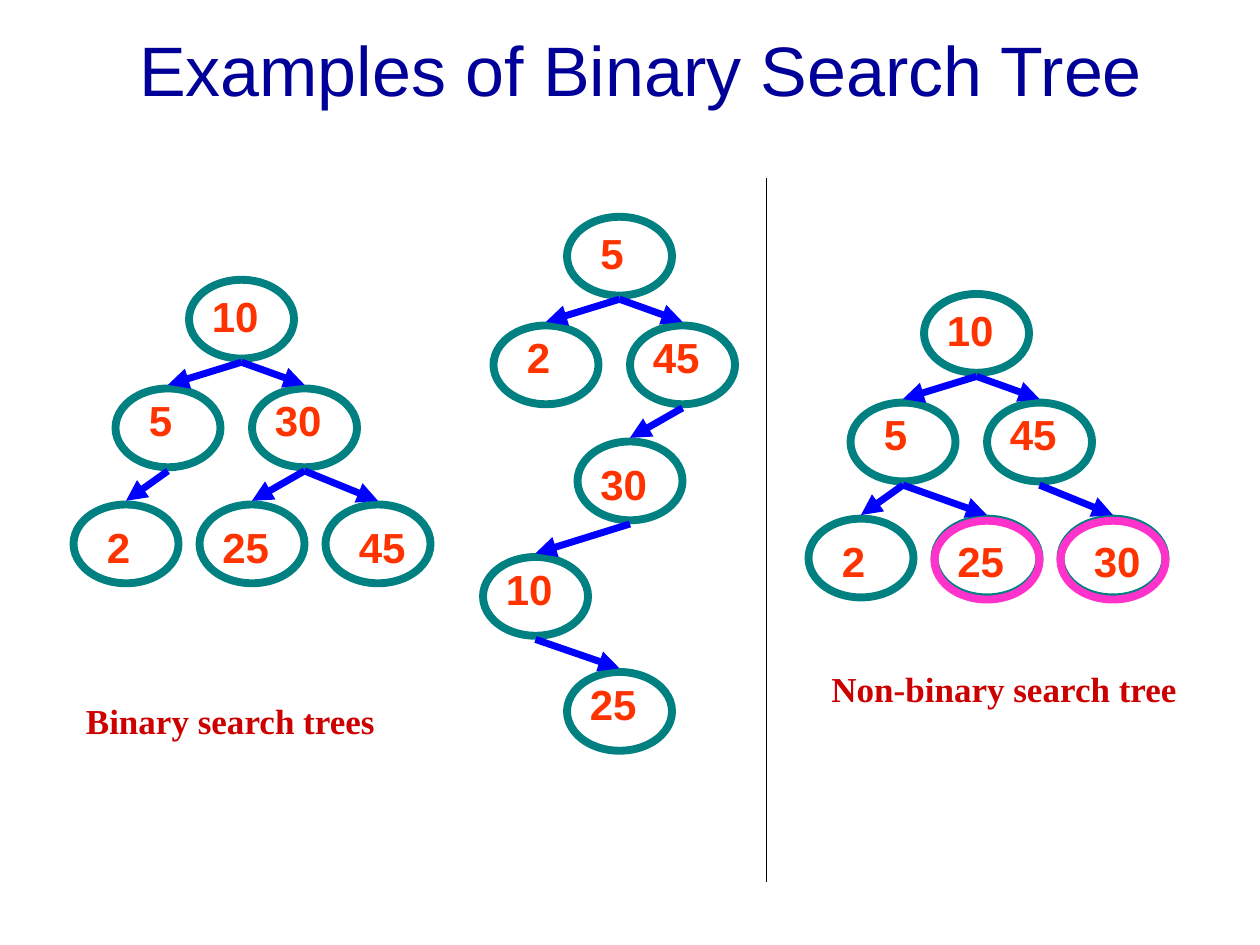
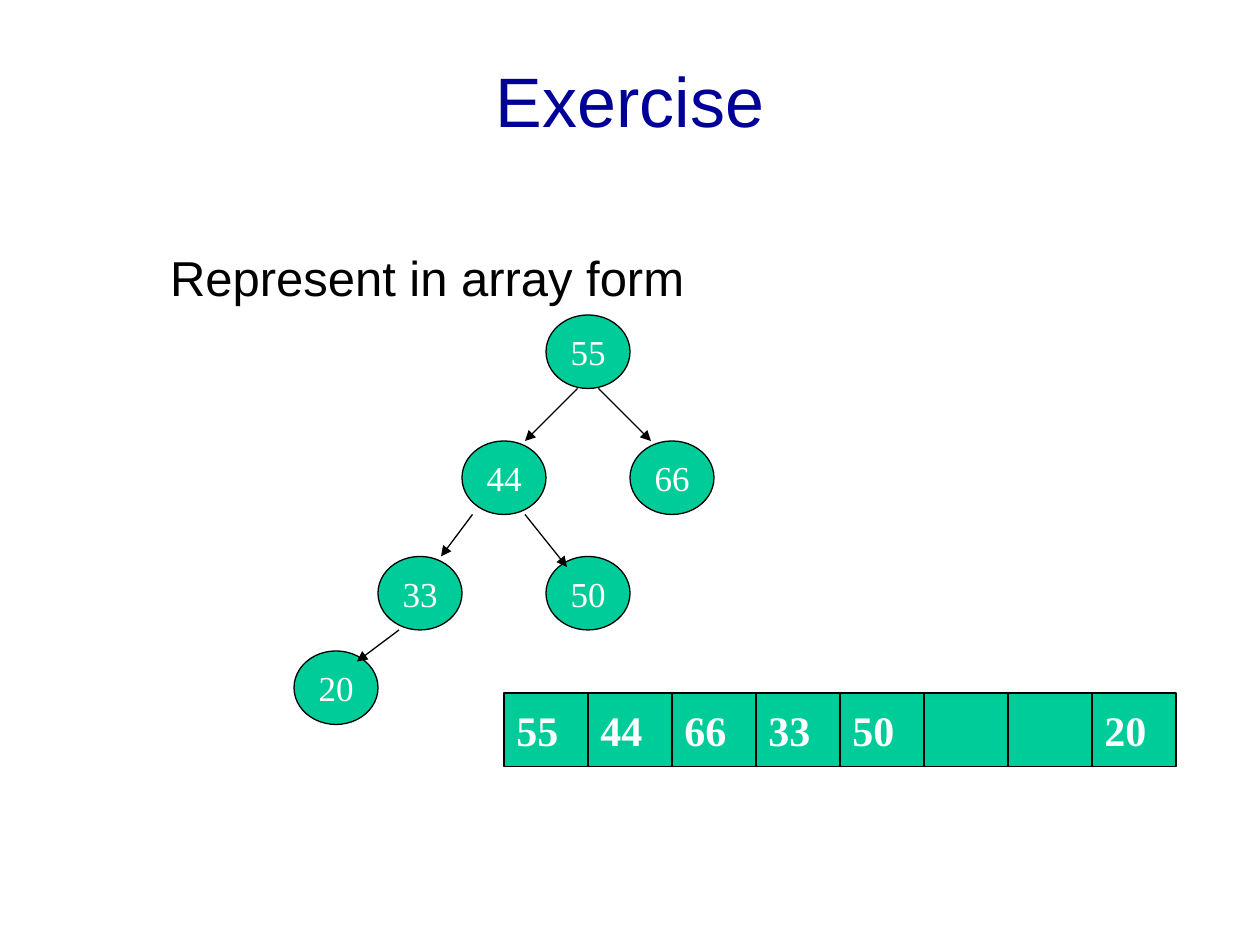
"""Build two slides on binary search trees, laid out on a grid of twelfths of an inch."""
from lxml import etree
from pptx import Presentation
from pptx.dml.color import RGBColor
from pptx.enum.shapes import MSO_CONNECTOR, MSO_SHAPE
from pptx.enum.text import MSO_ANCHOR, PP_ALIGN
from pptx.oxml.ns import qn
from pptx.util import Inches, Pt

OVAL, RECTANGLE = MSO_SHAPE.OVAL, MSO_SHAPE.RECTANGLE
STRAIGHT = MSO_CONNECTOR.STRAIGHT
MIDDLE, TOP = MSO_ANCHOR.MIDDLE, MSO_ANCHOR.TOP
LEFT, CENTER = PP_ALIGN.LEFT, PP_ALIGN.CENTER
CONTENT_LAYOUT, TITLE_LAYOUT = 1, 5

SANS, SERIF = "Arial", "Times New Roman"
NAVY, BLACK, WHITE = "000099", "000000", "FFFFFF"
TEAL, PINK, BLUE = "008080", "FF33CC", "0000FF"
ORANGE, RED, GREEN = "FF3300", "CC0000", "00CC99"

# Example nodes: value, column, level, parent index, label shift
EXAMPLE_TREES = [
    {"left": 0, "top": 26.65, "misplaced": [], "nodes": [
        ("10", 18, 0, None, 1), ("5", 11, 1, 0, 2), ("30", 24, 1, 0, 1),
        ("2", 7, 2, 1, 2), ("25", 19, 2, 2, 1), ("45", 31, 2, 2, 2)]},
    {"left": 70, "top": 28, "misplaced": ["25", "30"], "nodes": [
        ("10", 18, 0, None, 1), ("5", 11, 1, 0, 2), ("45", 24, 1, 0, 1),
        ("2", 7, 2, 1, 2), ("25", 19, 2, 1, 1), ("30", 31, 2, 2, 2)]},
    {"left": 36, "top": 20.65, "misplaced": [], "nodes": [
        ("5", 18, 0, None, 2), ("2", 11, 1, 0, 2), ("45", 24, 1, 0, 1),
        ("30", 19, 2, 2, 1), ("10", 10, 3, 3, 1), ("25", 18, 4, 4, 1)]},
]
LEVEL_TOPS = [0, 10.35, 21.4, 32.4, 43.35]
LABEL_DROPS = [0.4, 0, 1, 0, 0]
NODE_WIDTH, NODE_HEIGHT, ARROW_GAP = 10, 7.5, 0.35
CAPTIONS = [("Binary search trees", (7, 66, 40, 5.3)),
            ("Non-binary search tree", (78, 63, 37, 5.3))]

# Exercise nodes: value, left, top, parent index, arrow start shift, arrow overlap
EXERCISE_NODES = [
    ("55", 52, 30, None, 0, 0), ("44", 44, 42, 0, -1, 0), ("66", 60, 42, 0, 1, 0),
    ("33", 36, 53, 1, -3, 0), ("50", 52, 53, 1, 2, 1), ("20", 28, 62, 3, -2, 1)]
ARRAY = ["55", "44", "66", "33", "50", "", "", "20"]
ARRAY_LEFT, ARRAY_TOP = 48, 66
CELL_WIDTH, CELL_HEIGHT = 8, 7


def color(value):
    return RGBColor.from_string(value)


def grid(*lengths):
    return [Inches(length / 12) for length in lengths]


def write(box, text, size, ink, font=SANS, bold=False, align=LEFT, anchor=TOP, wrap=True):
    frame = box.text_frame
    frame.word_wrap, frame.vertical_anchor = wrap, anchor
    para = frame.paragraphs[0]
    para.text, para.alignment, para.space_before = text, align, Pt(0)
    para.font.name, para.font.size, para.font.bold = font, Pt(size), bold
    para.font.color.rgb = color(ink)
    return para


def place(box, area):
    box.left, box.top, box.width, box.height = grid(*area)


def add_page(deck, layout, title, area):
    page = deck.slides.add_slide(deck.slide_layouts[layout])
    place(page.shapes.title, area)
    write(page.shapes.title, title, 40, NAVY, align=CENTER, anchor=MIDDLE)
    return page


def add_text(shapes, text, area, *style):
    write(shapes.add_textbox(*grid(*area)), text, *style)


def add_outline(shapes, kind, area, ink, weight, fill=None):
    shape = shapes.add_shape(kind, *grid(*area))
    shape.shadow.inherit = False
    shape.line.color.rgb, shape.line.width = color(ink), Pt(weight)
    if fill:
        shape.fill.solid()
        shape.fill.fore_color.rgb = color(fill)
    else:
        shape.fill.background()
    return shape


def add_line(shapes, start, end, ink, weight, arrow=True):
    line = shapes.add_connector(STRAIGHT, *grid(*start, *end))
    line.line.color.rgb, line.line.width = color(ink), Pt(weight)
    if arrow:
        etree.SubElement(line.line._get_or_add_ln(), qn("a:tailEnd"), type="triangle")
    etree.SubElement(line._element.spPr, qn("a:effectLst"))


def draw_example(shapes, tree):
    spots = [(tree["left"] + column, tree["top"] + LEVEL_TOPS[level])
             for _, column, level, _, _ in tree["nodes"]]
    for (value, _, level, parent, shift), (left, top) in zip(tree["nodes"], spots):
        add_outline(shapes, OVAL, (left, top, NODE_WIDTH, NODE_HEIGHT), TEAL, 4.5)
        if parent is not None:
            parent_left, parent_top = spots[parent]
            start = parent_left + NODE_WIDTH / 2, parent_top + NODE_HEIGHT + ARROW_GAP
            add_line(shapes, start, (left + NODE_WIDTH / 2, top - ARROW_GAP), BLUE, 4)
        add_text(shapes, value, (left + shift, top + LABEL_DROPS[level], 8, 6),
                 24, ORANGE, SANS, True)
        if value in tree["misplaced"]:
            add_outline(shapes, OVAL, (left, top + 0.2, NODE_WIDTH, NODE_HEIGHT), PINK, 4.5)


def add_cell(shapes, kind, value, left, top, size, bold):
    cell = add_outline(shapes, kind, (left, top, CELL_WIDTH, CELL_HEIGHT), BLACK, 0.75, GREEN)
    if value:
        write(cell, value, size, WHITE, SERIF, bold, anchor=MIDDLE, wrap=False)


def draw_exercise(shapes):
    for value, left, top, parent, shift, overlap in EXERCISE_NODES:
        add_cell(shapes, OVAL, value, left, top, 20, False)
        if parent is not None:
            _, parent_left, parent_top, *_ = EXERCISE_NODES[parent]
            toward_parent = 2 if parent_left > left else -2
            start = parent_left + CELL_WIDTH / 2 + shift, parent_top + CELL_HEIGHT
            end = left + CELL_WIDTH / 2 + toward_parent, top + overlap
            add_line(shapes, start, end, BLACK, 0.75)


def build_examples(deck):
    page = add_page(deck, TITLE_LAYOUT, "Examples of Binary Search Tree", (10, 2, 102, 9))
    for tree in EXAMPLE_TREES:
        draw_example(page.shapes, tree)
    for text, area in CAPTIONS:
        add_text(page.shapes, text, area, 20, RED, SERIF, True)
    add_line(page.shapes, (73, 17), (73, 84), BLACK, 1, arrow=False)


def build_exercise(deck):
    page = add_page(deck, CONTENT_LAYOUT, "Exercise", (9, 2, 102, 15))
    body = page.placeholders[1]
    place(body, (9, 23, 102, 54))
    properties = body.text_frame.paragraphs[0]._p.get_or_add_pPr()
    properties.set("marL", str(Inches(1)))
    properties.set("indent", str(Inches(-0.5)))
    etree.SubElement(properties, qn("a:buNone"))
    write(body, "Represent in array form", 28, BLACK)
    draw_exercise(page.shapes.add_group_shape().shapes)
    cells = page.shapes.add_group_shape().shapes
    for index, value in enumerate(ARRAY):
        add_cell(cells, RECTANGLE, value, ARRAY_LEFT + index * CELL_WIDTH, ARRAY_TOP, 24, True)


def main():
    deck = Presentation()
    deck.slide_width, deck.slide_height = Inches(10), Inches(7.5)
    build_examples(deck)
    build_exercise(deck)
    deck.save("out.pptx")


if __name__ == "__main__":
    main()
